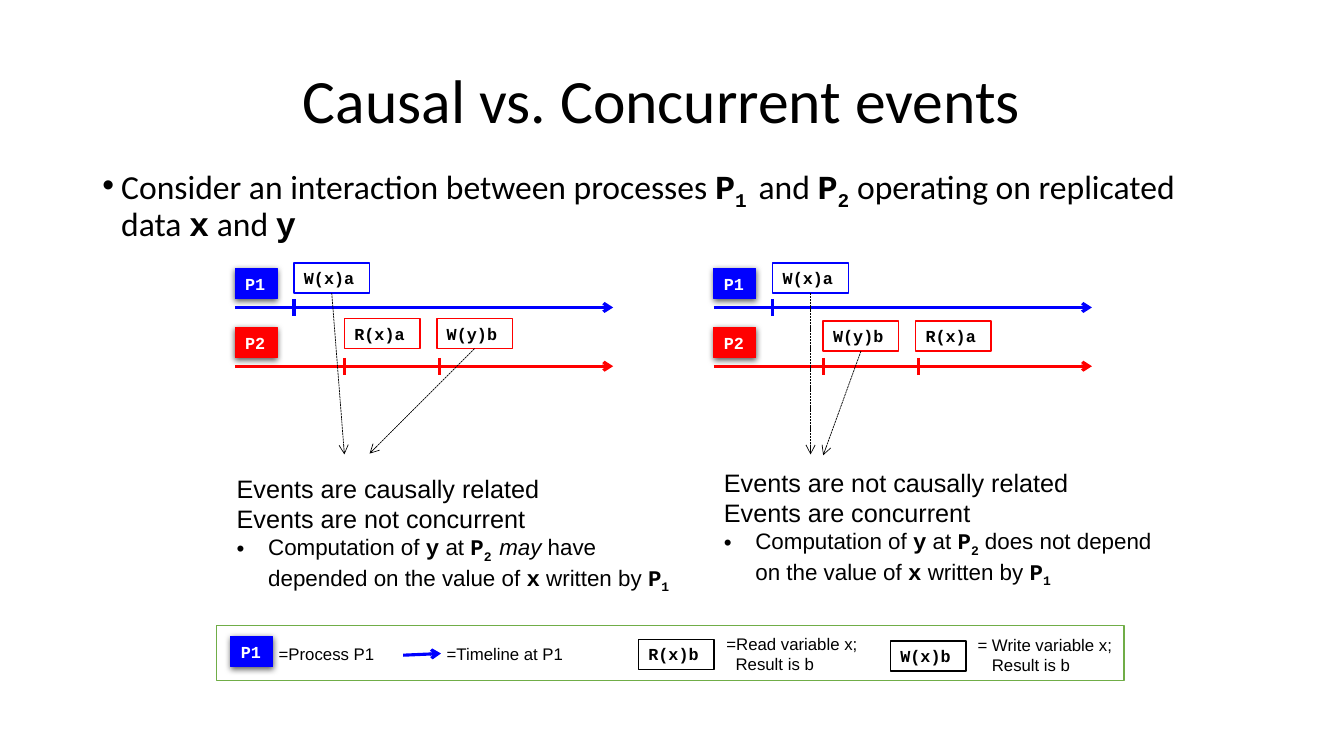
"""Build the slide that compares causal and concurrent events."""
from lxml.etree import SubElement
from pptx import Presentation
from pptx.dml.color import RGBColor
from pptx.enum.dml import MSO_LINE
from pptx.enum.shapes import MSO_CONNECTOR as CONN, MSO_SHAPE as SHAPE
from pptx.enum.text import MSO_ANCHOR as ANCHOR, PP_ALIGN as ALIGN
from pptx.oxml.ns import qn
from pptx.util import Inches, Pt

BLUE, RED, BLACK, WHITE, GREEN = "0000FF", "FF0000", "000000", "FFFFFF", "70AD47"
MONO, SANS, HEAD = "Courier New", "Arial", "Calibri"
CELLS_PER_INCH = 12
TAG_W, EVENT_W, BOX_H = 5, 9, 3.6
P1_LINE, P2_LINE = 36.6, 43.6
LINE_LEN = 45


def grid(*cells):
    """Turn grid columns and rows into lengths."""
    return [Inches(c / CELLS_PER_INCH) for c in cells]


def color(hex_code):
    """Turn a hex string into a colour."""
    return RGBColor.from_string(hex_code)


def style_run(r, size, font, ink=BLACK, kind=""):
    """Format a run as plain, mono, sub or italic."""
    mono = kind in ("mono", "sub")
    r.font.size, r.font.name = Pt(size), MONO if mono else font
    r.font.bold, r.font.italic = mono, kind == "italic"
    r.font.color.rgb = color(ink)
    if kind == "sub":
        r.font._element.set("baseline", "-25000")


def write(p, parts, size, font, ink=BLACK):
    """Write (text, kind) parts into a paragraph."""
    for text, kind in parts:
        r = p.add_run()
        r.text = text
        style_run(r, size, font, ink, kind)


def indent(p, left, first=0):
    """Set the left margin and first-line indent of a paragraph in cells."""
    pPr = p._p.get_or_add_pPr()
    for name, length in zip(("marL", "indent"), grid(left, first)):
        pPr.set(name, str(length))
    return pPr


def bullet(p, hang):
    """Give a paragraph a hanging round bullet."""
    pPr = indent(p, hang, -hang)
    SubElement(pPr, qn("a:buFont")).set("typeface", SANS)
    SubElement(pPr, qn("a:buChar")).set("char", "•")


def text_box(s, *place):
    """Add a wrapping text box and return its text frame."""
    tf = s.shapes.add_textbox(*grid(*place)).text_frame
    tf.word_wrap = True
    return tf


def box(s, place, fill, edge, width=1, label="", ink=BLACK):
    """Add a rectangle with an optional mono label."""
    sp = s.shapes.add_shape(SHAPE.RECTANGLE, *grid(*place))
    sp.shadow.inherit = False
    sp.fill.solid()
    sp.fill.fore_color.rgb = color(fill)
    sp.line.color.rgb, sp.line.width = color(edge), Pt(width)
    tf = sp.text_frame
    tf.vertical_anchor = ANCHOR.TOP
    if label:
        p = tf.paragraphs[0]
        p.alignment = ALIGN.LEFT
        write(p, [(label, "mono")], 12, MONO, ink)
    return sp


def event(s, x, y, label, edge):
    """Add an outlined box for a read or write."""
    box(s, (x, y, EVENT_W, BOX_H), WHITE, edge, 1, label)


def process_tag(s, x, y, label, fill):
    """Add a filled process tag with a soft shadow."""
    sp = box(s, (x, y, TAG_W, BOX_H), fill, fill, 0.75, label, WHITE)
    effects = sp._element.spPr.find(qn("a:effectLst"))
    shadow = SubElement(effects, qn("a:outerShdw"), blurRad=str(Pt(4.5)),
                        dist=str(Pt(1.5)), dir="5400000", rotWithShape="0")
    shade = SubElement(shadow, qn("a:srgbClr"), val=BLACK)
    SubElement(shade, qn("a:alpha"), val="63000")


def line(s, start, end, ink, width=2.25, arrow=False, dash=None):
    """Add a straight line, with an open arrowhead if asked."""
    c = s.shapes.add_connector(CONN.STRAIGHT, *grid(*start, *end))
    c.line.color.rgb, c.line.width = color(ink), Pt(width)
    if dash:
        c.line.dash_style = dash
    spPr = c._element.spPr
    if arrow:
        SubElement(spPr.find(qn("a:ln")), qn("a:tailEnd"), type="arrow")
    SubElement(spPr, qn("a:effectLst"))


def timelines(s, x, p2_row, p2_labels, targets):
    """Draw both process timelines, their events and the pointers."""
    for label, y, tag_row, ink in (("P1", P1_LINE, 32, BLUE), ("P2", P2_LINE, 39, RED)):
        line(s, (x, y), (x + LINE_LEN, y), ink, arrow=True)
        process_tag(s, x, tag_row, label, ink)
    first, second = p2_labels
    events = (("W(x)a", 7, 31.3, P1_LINE, 7, BLUE),
              (first, 13, p2_row, P2_LINE, 13, RED),
              (second, 24, p2_row, P2_LINE, 24.3, RED))
    for label, dx, row, base, tick, ink in events:
        event(s, x + dx, row, label, ink)
        line(s, (x + tick, base - 1), (x + tick, base + 1), ink)
        if label in targets:
            start = (x + dx + EVENT_W / 2, row + BOX_H)
            line(s, start, targets[label], BLACK, 0.5, True, MSO_LINE.SQUARE_DOT)


def conclusion(s, place, statements, parts):
    """Add the statements and the bulleted reason below a diagram."""
    tf = text_box(s, *place)
    tf.text = "\n".join(statements)
    for p in tf.paragraphs:
        style_run(p.runs[0], 18, SANS)
    p = tf.add_paragraph()
    bullet(p, 3.75)
    write(p, parts, 16, SANS)


def legend_text(s, place, lines, second_indent=0):
    """Add a legend caption whose second line is indented."""
    tf = text_box(s, *place)
    tf.text = "\n".join(lines)
    for p in tf.paragraphs:
        style_run(p.runs[0], 12, SANS)
    for p in tf.paragraphs[1:]:
        indent(p, second_indent)


def legend(s):
    """Draw the framed legend."""
    box(s, (25.8, 74.5, 108, 6.5), WHITE, GREEN)
    process_tag(s, 27.5, 75.8, "P1", BLUE)
    legend_text(s, (32, 76, 18, 3.6), ["=Process P1"])
    line(s, (48, 78), (52.5, 77.8), BLUE, arrow=True)
    legend_text(s, (52, 76, 18, 3.6), ["=Timeline at P1"])
    event(s, 76, 76.1, "R(x)b", BLACK)
    legend_text(s, (85.3, 74.8, 18, 6), ["=Read variable x;", "Result is b"], 1.1)
    event(s, 106, 76.3, "W(x)b", BLACK)
    legend_text(s, (115.2, 75, 18.7, 6), ["= Write variable x;", "Result is b"], 1.7)


def heading(s):
    """Add the title and the opening bullet."""
    tf = text_box(s, 11, 3.6, 135.6, 17.4)
    tf.vertical_anchor = ANCHOR.MIDDLE
    p = tf.paragraphs[0]
    p.alignment, p.line_spacing = ALIGN.CENTER, 0.9
    write(p, [("Causal vs. Concurrent events", "")], 44, HEAD)

    p = text_box(s, 11, 19.2, 135.6, 10).paragraphs[0]
    p.line_spacing, p.space_before = 0.9, Pt(7.5)
    bullet(p, 2.25)
    write(p, [("Consider an interaction between processes ", ""), ("P", "mono"),
              ("1 ", "sub"), ("and ", ""), ("P", "mono"), ("2", "sub"),
              (" operating on replicated data ", ""), ("x", "mono"),
              (" and ", ""), ("y", "mono")], 24, HEAD)


def main():
    """Build and save the slide."""
    prs = Presentation()
    prs.slide_width, prs.slide_height = grid(160, 90)
    s = prs.slides.add_slide(prs.slide_layouts[6])
    heading(s)
    timelines(s, 28, 37.9, ("R(x)a", "W(y)b"),
              {"W(x)a": (41, 54.1), "W(y)b": (44, 54)})
    timelines(s, 85, 38.2, ("W(y)b", "R(x)a"),
              {"W(x)a": (96.5, 54.1), "W(y)b": (98, 54.2)})
    opening = [("Computation of ", ""), ("y", "mono"), (" at ", ""), ("P", "mono")]
    ending = [("x", "mono"), (" written by ", ""), ("P", "mono"), ("1", "sub")]
    conclusion(s, (27, 55.7, 55.4, 18.1),
               ["Events are causally related", "Events are not concurrent"],
               opening + [("2 ", "sub"), ("may", "italic"),
                          (" have depended on the value of ", "")] + ending)
    conclusion(s, (85, 55, 55, 15),
               ["Events are not causally related", "Events are concurrent"],
               opening + [("2", "sub"),
                          (" does not depend on the value of ", "")] + ending)
    legend(s)
    prs.save("out.pptx")


if __name__ == "__main__":
    main()
